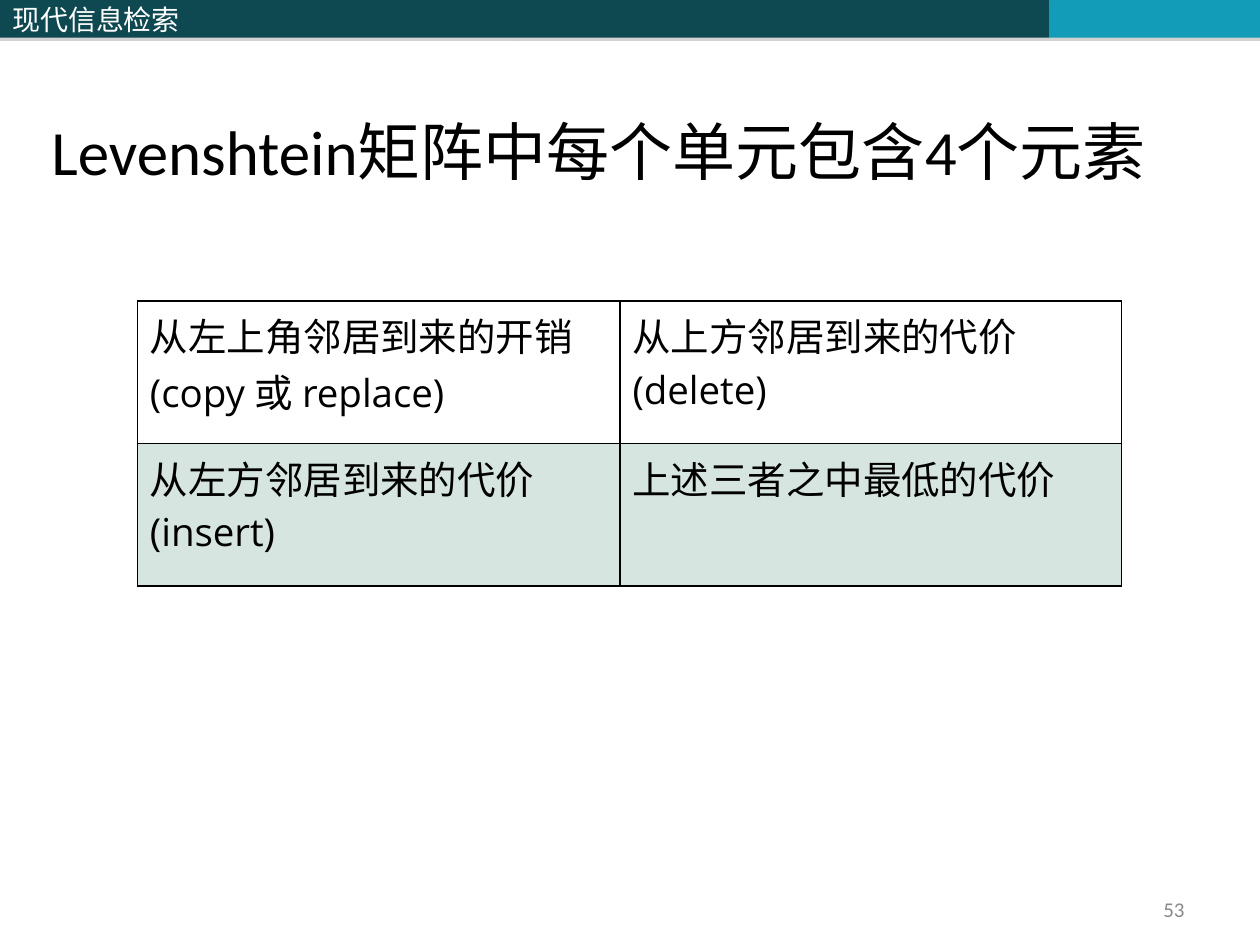
from lxml import etree
from pptx import Presentation
from pptx import util as u
from pptx.dml.color import RGBColor
from pptx.enum import shapes, text
from pptx.oxml import parse_xml
from pptx.oxml.ns import nsdecls, qn

CJK_FONT = "Noto Sans CJK SC"


def color(value):
    return RGBColor.from_string(value)


class SlideBuilder:
    """Holds the style and the current slide, and draws each kind of element."""

    black, white, grey = "000000", "FFFFFF", "898989"
    dark_teal, bright_teal, pale_green = "0E4851", "139CB7", "D7E5E1"

    def __init__(self, slide):
        self.slide = slide

    def set_text(self, frame, content, size, font, value, align=text.PP_ALIGN.LEFT):
        frame.text = content
        frame.word_wrap = True
        for paragraph in frame.paragraphs:
            paragraph.alignment = align
            for run in paragraph.runs:
                run.font.size = u.Pt(size)
                run.font.color.rgb = color(value)
                run.font.name = font
                east_asian = etree.SubElement(run.font._element, qn("a:ea"))
                east_asian.set("typeface", CJK_FONT)

    def bar(self, left, width, fill, content=""):
        shape = self.slide.shapes.add_shape(
            shapes.MSO_SHAPE.RECTANGLE, u.Inches(left), 0, u.Inches(width), u.Inches(0.3))
        shape.fill.solid()
        shape.fill.fore_color.rgb = color(fill)
        shape.line.fill.background()
        shape.shadow.inherit = False
        shape._element.spPr.find(qn("a:effectLst")).append(parse_xml(
            f'<a:outerShdw {nsdecls("a")} blurRad="0" dist="{u.Pt(1.8)}" dir="5400000">'
            '<a:srgbClr val="808080"><a:alpha val="35000"/></a:srgbClr></a:outerShdw>'))
        if content:
            shape.text_frame.vertical_anchor = text.MSO_ANCHOR.MIDDLE
            self.set_text(shape.text_frame, content, 16, CJK_FONT, self.white)

    def label(self, left, top, width, height, content, size, value, anchor,
              align=text.PP_ALIGN.LEFT):
        box = self.slide.shapes.add_textbox(
            u.Inches(left), u.Inches(top), u.Inches(width), u.Inches(height))
        box.text_frame.vertical_anchor = anchor
        self.set_text(box.text_frame, content, size, "Calibri", value, align)

    def border(self, cell):
        properties = cell._tc.get_or_add_tcPr()
        for index, side in enumerate(("lnL", "lnR", "lnT", "lnB")):
            properties.insert(index, parse_xml(
                f'<a:{side} {nsdecls("a")} w="{u.Pt(1)}"><a:solidFill>'
                f'<a:srgbClr val="{self.black}"/></a:solidFill></a:{side}>'))

    def table(self, left, top, widths, row_height, rows, fills):
        table = self.slide.shapes.add_table(
            len(rows), len(widths), u.Inches(left), u.Inches(top),
            u.Inches(sum(widths)), u.Inches(row_height * len(rows))).table
        table.first_row = table.horz_banding = False
        for column, width in zip(table.columns, widths):
            column.width = u.Inches(width)
        for row, contents, fill in zip(table.rows, rows, fills):
            row.height = u.Inches(row_height)
            for cell, content in zip(row.cells, contents):
                cell.fill.solid()
                cell.fill.fore_color.rgb = color(fill)
                self.set_text(cell.text_frame, content, 22, "Open Sans", self.black)
                self.border(cell)


def main():
    presentation = Presentation()
    presentation.slide_width, presentation.slide_height = u.Inches(10), u.Inches(7.5)
    builder = SlideBuilder(presentation.slides.add_slide(presentation.slide_layouts[6]))

    builder.bar(0, 4.08, builder.dark_teal, "现代信息检索")
    builder.bar(4.08, 4.25, builder.dark_teal)
    builder.bar(8.33, 1.67, builder.bright_teal)
    builder.label(0.31, 0.01, 9.45, 1.53, "Levenshtein矩阵中每个单元包含4个元素",
                  36, builder.black, text.MSO_ANCHOR.BOTTOM)
    builder.label(7.17, 7.08, 2.33, 0.27, "53", 12, builder.grey,
                  text.MSO_ANCHOR.MIDDLE, text.PP_ALIGN.RIGHT)
    builder.table(1.09, 2.39, (3.83, 3.98), 1.13, (
        ("从左上角邻居到来的开销 (copy 或 replace)", "从上方邻居到来的代价 (delete)"),
        ("从左方邻居到来的代价 (insert)", "上述三者之中最低的代价"),
    ), (builder.white, builder.pale_green))

    presentation.save("out.pptx")


if __name__ == "__main__":
    main()
